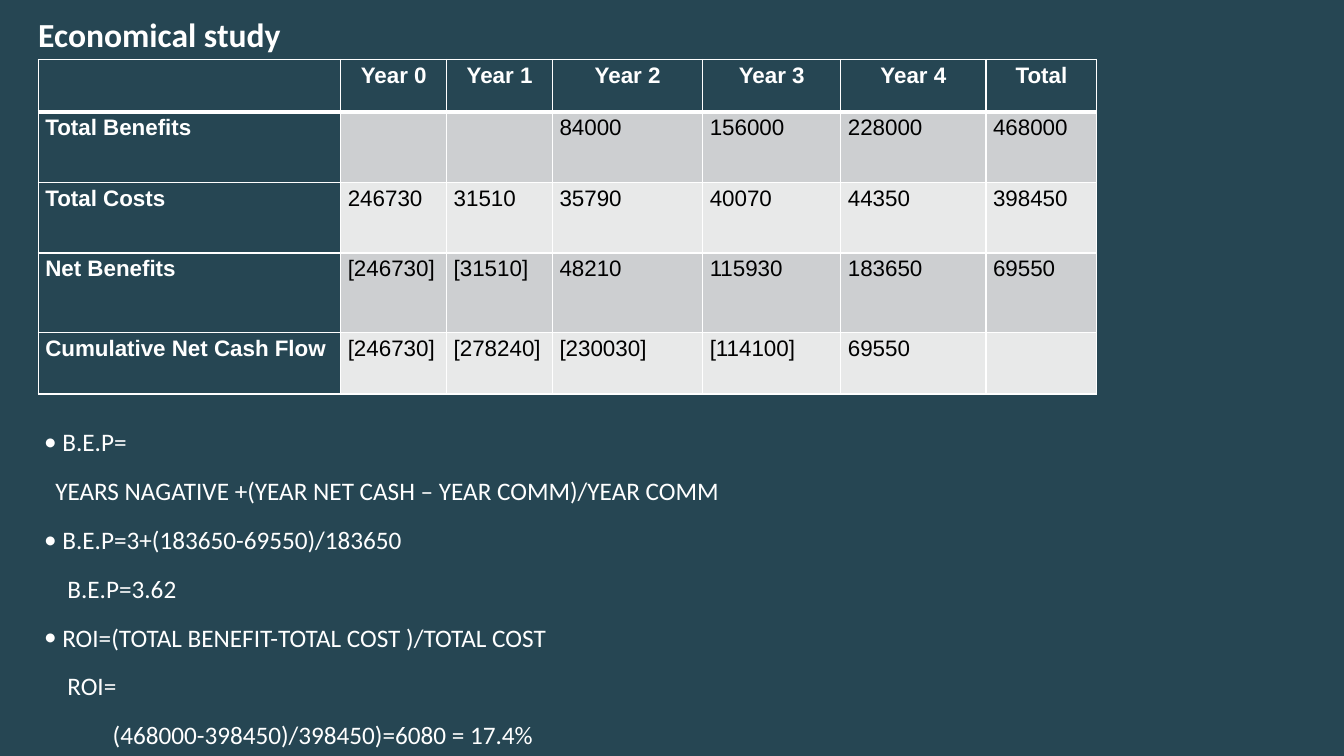
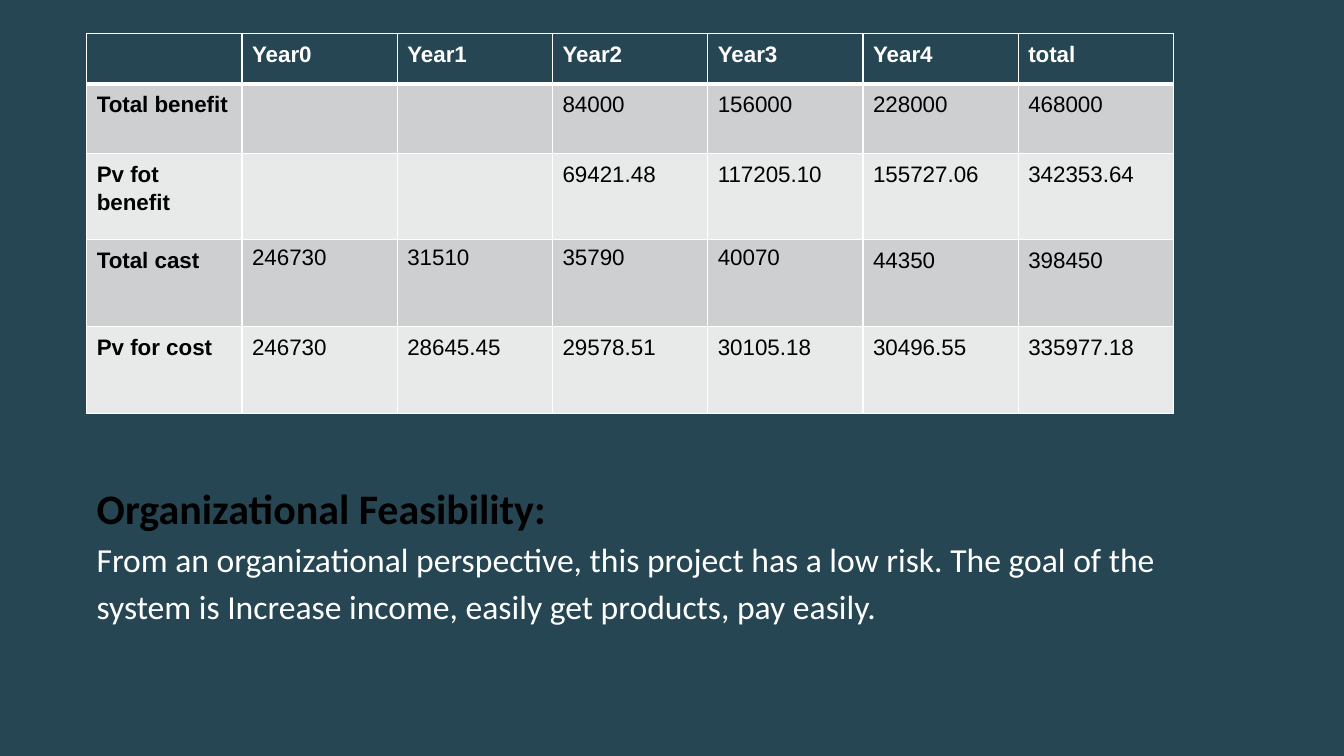
import pptx
import pptx.dml.color
import pptx.enum.text
import pptx.oxml.ns
import pptx.util
from lxml import etree

Inches = pptx.util.Inches
Pt = pptx.util.Pt
Align = pptx.enum.text.PP_ALIGN
COLORS = {"back": "264653", "white": "FFFFFF", "black": "000000",
          "odd": "CDCFD1", "even": "E8E9E9"}


def color(name):
    return pptx.dml.color.RGBColor.from_string(COLORS[name])


def add(parent, tag, **attrs):
    return etree.SubElement(parent, pptx.oxml.ns.qn(tag), attrs)


def write(par, text, size=16, font="Arial", ink="black", bold=False,
          align=None, line=1.15, after=0, left=0, bullet=False):
    par.alignment = align
    par.line_spacing = line
    par.space_after = Pt(after)
    props = par._p.get_or_add_pPr()
    if left:
        props.set("marL", str(Inches(left)))
    if bullet:
        props.set("indent", str(-Inches(left)))
        add(props, "a:buFont", typeface=font)
        add(props, "a:buChar", char="•")
    run = par.add_run()
    run.text = text
    run.font.size = Pt(size)
    run.font.name = font
    run.font.bold = bold
    run.font.color.rgb = color(ink)


class Deck:
    """Hold the shared style and the current slide."""

    def __init__(self):
        self.file = pptx.Presentation()
        self.file.slide_width = Inches(13.33)
        self.file.slide_height = Inches(7.5)
        self.slide = None

    def page(self):
        self.slide = self.file.slides.add_slide(self.file.slide_layouts[6])
        fill = self.slide.background.fill
        fill.solid()
        fill.fore_color.rgb = color("back")

    def text(self, box, lines):
        frame = self.slide.shapes.add_textbox(*map(Inches, box)).text_frame
        frame.word_wrap = True
        for num, (text, style) in enumerate(lines):
            par = frame.add_paragraph() if num else frame.paragraphs[0]
            write(par, text, font="Calibri", **style)

    def edge(self, cell, row):
        props = cell._tc.get_or_add_tcPr()
        widths = {"a:lnL": 1, "a:lnR": 1,
                  "a:lnT": 3 if row == 1 else 1,
                  "a:lnB": 3 if row == 0 else 1}
        for num, (tag, width) in enumerate(widths.items()):
            line = add(props, tag, w=str(Pt(width)))
            add(add(line, "a:solidFill"), "a:srgbClr", val=COLORS["white"])
            props.insert(num, line)

    def table(self, left, top, cols, rows, data, side="odd", ink="black",
              pad=None, head=None, after=0, tight=()):
        box = map(Inches, (left, top, sum(cols), sum(rows)))
        grid = self.slide.shapes.add_table(len(rows), len(cols), *box).table
        for col, width in zip(grid.columns, cols):
            col.width = Inches(width)
        for row, height in enumerate(rows):
            grid.rows[row].height = Inches(height)
            band = "odd" if row % 2 else "even"
            for col, text in enumerate(data[row]):
                cell = grid.cell(row, col)
                first = row == 0
                label = col == 0
                dark = first or (label and side == "back")
                cell.fill.solid()
                cell.fill.fore_color.rgb = color("back" if dark else band)
                self.edge(cell, row)
                if pad is not None:
                    cell.margin_left = cell.margin_right = Inches(pad)
                    cell.margin_top = cell.margin_bottom = 0
                if text:
                    tone = "white" if first else ink if label else "black"
                    write(cell.text_frame.paragraphs[0], text, ink=tone,
                          bold=first or label, after=after,
                          align=head if first else None,
                          line=1.0 if (row, col) in tight else 1.15)


def study(deck):
    deck.page()
    deck.text((0.28, 0.09, 11.35, 0.5), [
        ("Economical study",
         dict(size=24, ink="white", bold=True, line=1.0))])
    deck.table(0.38, 0.59, [3, 1.05, 1.05, 1.49, 1.37, 1.44, 1.1],
               [0.52, 0.7, 0.7, 0.79, 0.61], [
        ["", "Year 0", "Year 1", "Year 2", "Year 3", "Year 4", "Total"],
        ["Total Benefits", "", "", "84000", "156000", "228000", "468000"],
        ["Total Costs", "246730", "31510", "35790", "40070", "44350",
         "398450"],
        ["Net Benefits", "[246730]", "[31510]", "48210", "115930", "183650",
         "69550"],
        ["Cumulative Net Cash Flow", "[246730]", "[278240]", "[230030]",
         "[114100]", "69550", ""],
    ], side="back", ink="white", pad=0.07, head=Align.CENTER)
    lines = [
        ("B.E.P=", 0.18, True),
        ("YEARS NAGATIVE +(YEAR NET CASH – YEAR COMM)/YEAR COMM", 0.11, False),
        ("B.E.P=3+(183650-69550)/183650", 0.18, True),
        ("B.E.P=3.62", 0.23, False),
        ("ROI=(TOTAL BENEFIT-TOTAL COST )/TOTAL COST", 0.18, True),
        ("ROI=", 0.23, False),
        ("(468000-398450)/398450)=6080 = 17.4%", 0.68, False),
    ]
    deck.text((0.34, 4.14, 12.46, 3.36), [
        (text, dict(size=18, ink="white", after=10, left=left, bullet=mark))
        for text, left, mark in lines])


def value(deck):
    deck.page()
    deck.table(0.86, 0.33, [1.54] * 7, [0.5, 0.69, 0.86, 0.86, 0.86], [
        ["", "Year0", "Year1", "Year2", "Year3", "Year4", "total"],
        ["Total benefit", "", "", "84000", "156000", "228000", "468000"],
        ["Pv fot benefit", "", "", "69421.48", "117205.10", "155727.06",
         "342353.64"],
        ["Total cast", "246730", "31510", "35790", "40070", "44350",
         "398450"],
        ["Pv for cost", "246730", "28645.45", "29578.51", "30105.18",
         "30496.55", "335977.18"],
    ], after=10, tight=[(3, col) for col in range(1, 5)])
    deck.text((0.86, 4.74, 10.79, 2.58), [
        ("Organizational Feasibility:", dict(size=30, bold=True, line=1.0)),
        ("From an organizational perspective, this project has a low risk. "
         "The goal of the system is Increase income, easily get products, "
         "pay easily.", dict(size=24, ink="white", after=10))])


def main():
    deck = Deck()
    study(deck)
    value(deck)
    deck.file.save("out.pptx")


if __name__ == "__main__":
    main()
